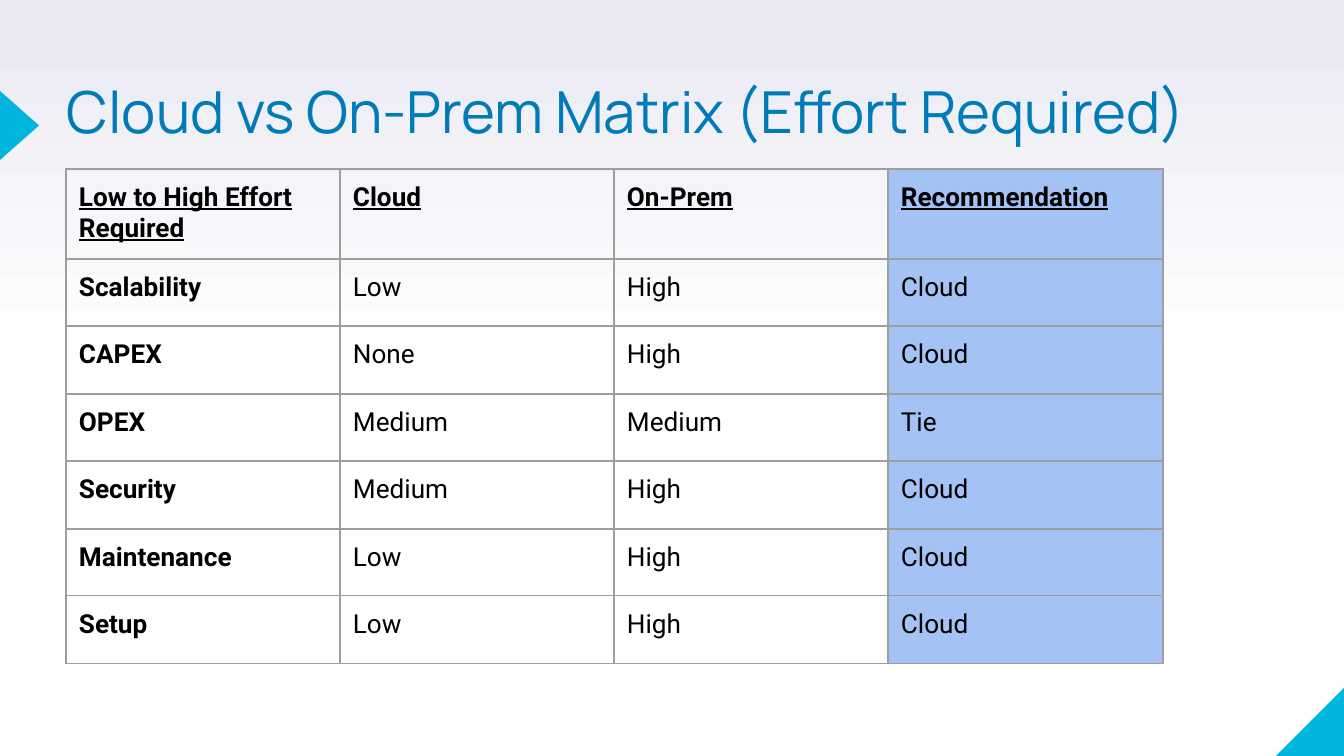
from dataclasses import dataclass

from lxml.etree import SubElement
from pptx import Presentation
from pptx.dml.color import RGBColor
from pptx.enum.shapes import MSO_SHAPE
from pptx.enum.text import MSO_ANCHOR
from pptx.oxml.ns import qn
from pptx.slide import Slide
from pptx.table import _Cell
from pptx.util import Emu, Pt

EMU_PER_PX = 9144000 / 1344
COLORS = {
    "white": "FFFFFF",
    "haze": "E9EAF2",
    "accent": "00B5DD",
    "title": "007BB9",
    "text": "000000",
    "highlight": "A4C2F4",
    "border": "9E9E9E",
}
ROWS = [
    ["Low to High Effort Required", "Cloud", "On-Prem", "Recommendation"],
    ["Scalability", "Low", "High", "Cloud"],
    ["CAPEX", "None", "High", "Cloud"],
    ["OPEX", "Medium", "Medium", "Tie"],
    ["Security", "Medium", "High", "Cloud"],
    ["Maintenance", "Low", "High", "Cloud"],
    ["Setup", "Low", "High", "Cloud"],
]


@dataclass(frozen=True)
class Box:
    left: int
    top: int
    width: int
    height: int

    def emu(self) -> list[Emu]:
        return [px(value) for value in (self.left, self.top, self.width, self.height)]


@dataclass(frozen=True)
class Accent:
    kind: MSO_SHAPE
    box: Box
    rotation: int = 0
    flipped: bool = False


ACCENTS = [
    Accent(MSO_SHAPE.RIGHT_TRIANGLE, Box(1276, 687, 69, 69), flipped=True),
    Accent(MSO_SHAPE.ISOSCELES_TRIANGLE, Box(-15, 106, 69, 39), rotation=90),
]
TITLE_BOX = Box(67, 89, 1180, 159)
TABLE_BOX = Box(66, 169, 1097, 495)
HEADER_HEIGHT = 90
CELL_INSET = 13


def px(value: int) -> Emu:
    return Emu(round(value * EMU_PER_PX))


def color(name: str) -> RGBColor:
    return RGBColor.from_string(COLORS[name])


def split(total: int, count: int) -> list[int]:
    edges = [total * index // count for index in range(count + 1)]
    return [end - start for start, end in zip(edges, edges[1:])]


def paint_background(slide: Slide) -> None:
    fill = slide.background.fill
    fill.gradient()
    fill.gradient_angle = 90
    for stop, position, name in zip(fill.gradient_stops, (0.5, 1), ("white", "haze")):
        stop.position = position
        stop.color.rgb = color(name)


def add_accent(slide: Slide, accent: Accent) -> None:
    shape = slide.shapes.add_shape(accent.kind, *accent.box.emu())
    shape.shadow.inherit = False
    shape.fill.solid()
    shape.fill.fore_color.rgb = color("accent")
    shape.line.fill.background()
    shape.rotation = accent.rotation
    if accent.flipped:
        shape.element.spPr.find(qn("a:xfrm")).set("flipH", "1")


def add_title(slide: Slide, text: str) -> None:
    frame = slide.shapes.add_textbox(*TITLE_BOX.emu()).text_frame
    frame.word_wrap = True
    frame.vertical_anchor = MSO_ANCHOR.TOP
    frame.margin_left = frame.margin_top = frame.margin_right = frame.margin_bottom = 0
    paragraph = frame.paragraphs[0]
    paragraph.text = text
    paragraph.line_spacing = 0.8
    paragraph.font.name = "Manrope"
    paragraph.font.size = Pt(31)
    paragraph.font.color.rgb = color("title")


def add_borders(cell: _Cell) -> None:
    properties = cell._tc.get_or_add_tcPr()
    for index, side in enumerate(("a:lnL", "a:lnR", "a:lnT", "a:lnB")):
        line = SubElement(properties, qn(side), w=str(Pt(0.75)))
        properties.insert(index, line)
        fill = SubElement(line, qn("a:solidFill"))
        SubElement(fill, qn("a:srgbClr"), val=COLORS["border"])


def fill_cell(cell: _Cell, text: str, bold: bool, underline: bool, highlighted: bool) -> None:
    cell.margin_left = cell.margin_top = cell.margin_right = cell.margin_bottom = px(CELL_INSET)
    if highlighted:
        cell.fill.solid()
        cell.fill.fore_color.rgb = color("highlight")
    else:
        cell.fill.background()
    add_borders(cell)
    paragraph = cell.text_frame.paragraphs[0]
    paragraph.text = text
    font = paragraph.font
    font.name = "Roboto"
    font.size = Pt(14)
    font.bold = bold
    font.underline = underline
    font.color.rgb = color("text")


def add_matrix(slide: Slide) -> None:
    column_count = len(ROWS[0])
    table = slide.shapes.add_table(len(ROWS), column_count, *TABLE_BOX.emu()).table
    table.first_row = table.horz_banding = False
    for column, width in zip(table.columns, split(TABLE_BOX.width, column_count)):
        column.width = px(width)
    body_heights = split(TABLE_BOX.height - HEADER_HEIGHT, len(ROWS) - 1)
    for row, height in zip(table.rows, [HEADER_HEIGHT, *body_heights]):
        row.height = px(height)
    for row_index, texts in enumerate(ROWS):
        for column_index, text in enumerate(texts):
            header = row_index == 0
            fill_cell(
                table.cell(row_index, column_index),
                text,
                bold=header or column_index == 0,
                underline=header,
                highlighted=column_index == column_count - 1,
            )


def main() -> None:
    presentation = Presentation()
    presentation.slide_width = px(1344)
    presentation.slide_height = px(756)
    slide = presentation.slides.add_slide(presentation.slide_layouts[6])
    paint_background(slide)
    for accent in ACCENTS:
        add_accent(slide, accent)
    add_title(slide, "Cloud vs On-Prem Matrix (Effort Required)")
    add_matrix(slide)
    presentation.save("out.pptx")


if __name__ == "__main__":
    main()
